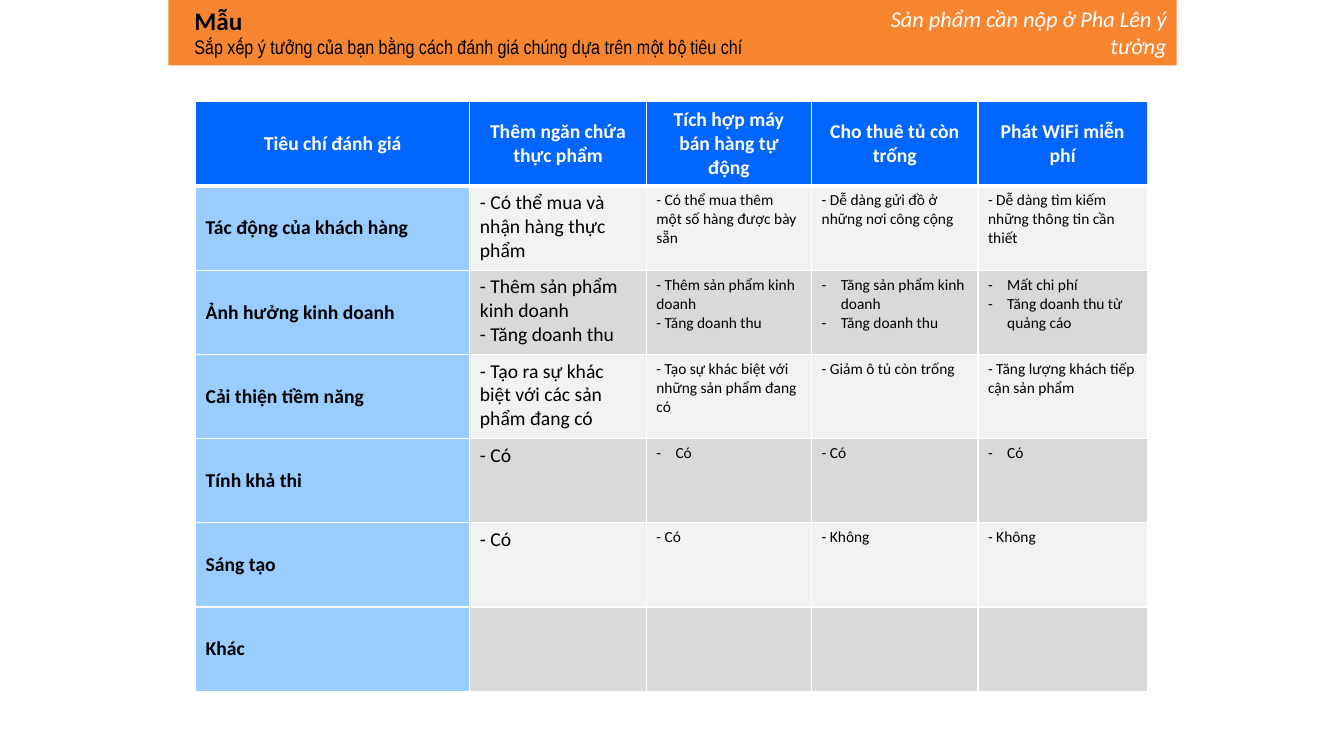
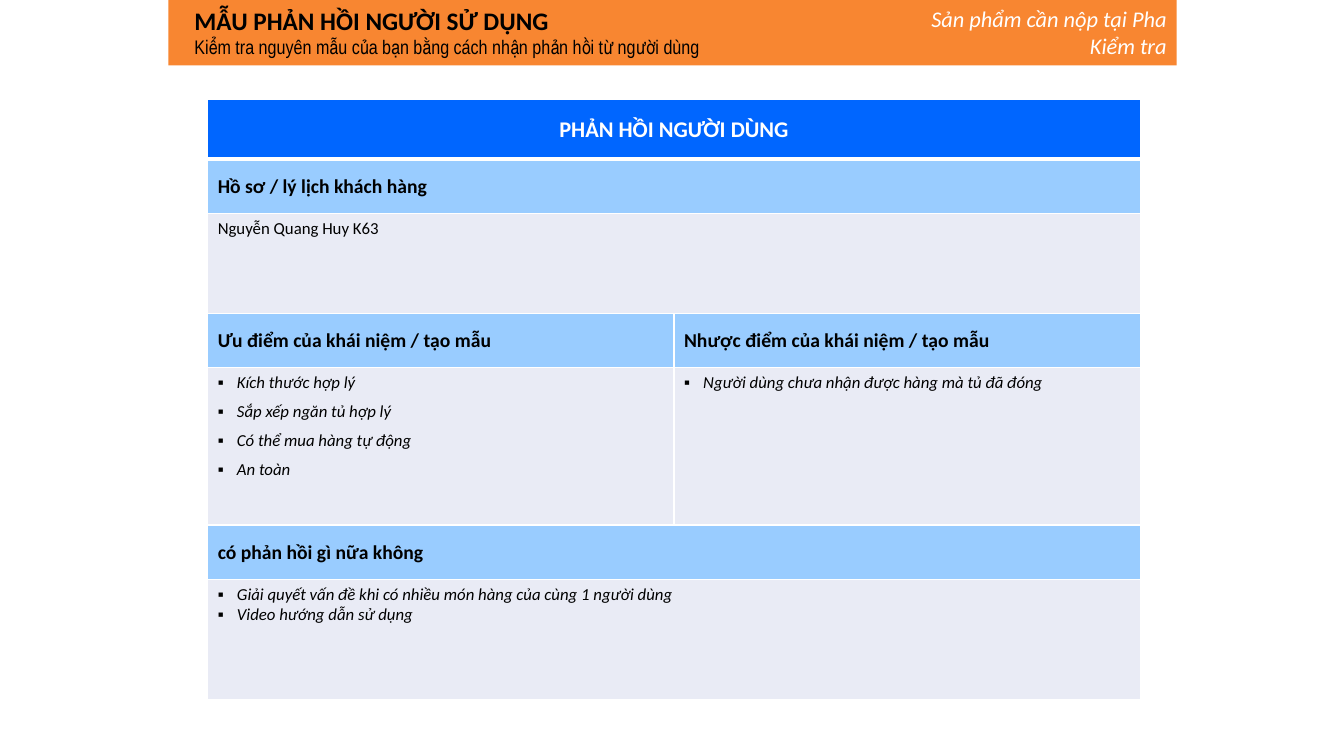
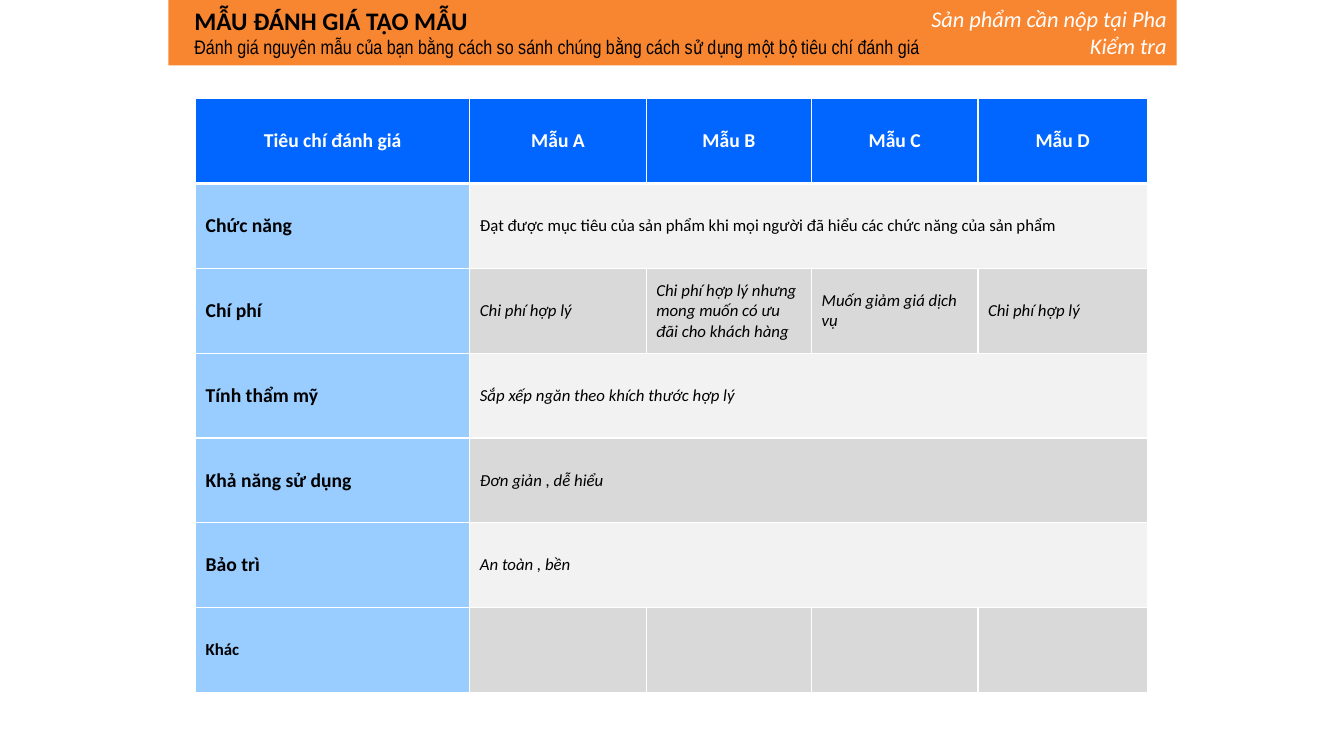
from dataclasses import dataclass

from lxml.etree import SubElement
from pptx import Presentation
from pptx.dml.color import RGBColor
from pptx.enum.shapes import MSO_SHAPE
from pptx.enum.text import MSO_ANCHOR, MSO_AUTO_SIZE, PP_ALIGN
from pptx.oxml.ns import qn
from pptx.util import Inches, Pt


@dataclass(frozen=True)
class Theme:
    band: str = "F88631"
    header: str = "0066FF"
    label: str = "99CCFF"
    light: str = "F2F2F2"
    dark: str = "D9D9D9"
    panel: str = "E9EBF5"
    white: str = "FFFFFF"
    black: str = "000000"
    font: str = "Calibri"
    narrow_font: str = "Arial Narrow"
    title_size: int = 18
    heading_size: int = 16
    label_size: int = 14
    body_size: int = 12
    small_size: int = 11
    thin_border: int = 1
    thick_border: int = 3


THEME = Theme()
CRITERIA_COLUMNS = [2.72, 1.75, 1.64, 1.65, 1.68]
BULLET_INDENT = 0.19


def write_text(frame, text, size, color=THEME.black, font=THEME.font, bold=False,
               italic=False, align=PP_ALIGN.LEFT, bullet=None, space_after=0, append=False):
    for index, line in enumerate(text.split("\n")):
        is_new = append or index > 0
        paragraph = frame.add_paragraph() if is_new else frame.paragraphs[0]
        paragraph.alignment = align
        paragraph.space_after = Pt(space_after)
        if bullet:
            properties = paragraph._p.get_or_add_pPr()
            properties.set("marL", str(Inches(BULLET_INDENT)))
            properties.set("indent", str(-Inches(BULLET_INDENT)))
            SubElement(properties, qn("a:buFont"), typeface=THEME.font)
            SubElement(properties, qn("a:buChar"), char=bullet)
        run = paragraph.add_run()
        run.text = line
        run.font.name = font
        run.font.size = Pt(size)
        run.font.bold = bold
        run.font.italic = italic
        run.font.color.rgb = RGBColor.from_string(color)


def add_text_box(slide, left, width):
    shape = slide.shapes.add_textbox(Inches(left), 0, Inches(width), Inches(0.64))
    shape.text_frame.word_wrap = True
    shape.text_frame.auto_size = MSO_AUTO_SIZE.SHAPE_TO_FIT_TEXT
    return shape.text_frame


def add_header(slide, title, subtitle, deliverable, title_width=6.12, deliverable_width=2.77):
    band = slide.shapes.add_shape(MSO_SHAPE.RECTANGLE, Inches(1.67), 0, Inches(10), Inches(0.65))
    band.shadow.inherit = False
    band.fill.solid()
    band.fill.fore_color.rgb = RGBColor.from_string(THEME.band)
    band.line.fill.background()
    title_frame = add_text_box(slide, 1.83, title_width)
    write_text(title_frame, title, THEME.title_size, bold=True)
    write_text(title_frame, subtitle, THEME.label_size, font=THEME.narrow_font, append=True)
    deliverable_frame = add_text_box(slide, 11.67 - deliverable_width, deliverable_width)
    write_text(deliverable_frame, deliverable, THEME.heading_size, color=THEME.white,
               italic=True, align=PP_ALIGN.RIGHT)


def set_borders(cell, row):
    widths = {"a:lnL": THEME.thin_border, "a:lnR": THEME.thin_border,
              "a:lnT": THEME.thick_border if row == 1 else THEME.thin_border,
              "a:lnB": THEME.thick_border if row == 0 else THEME.thin_border}
    properties = cell._tc.get_or_add_tcPr()
    for tag, width in widths.items():
        line = SubElement(properties, qn(tag), w=str(Pt(width)))
        fill = SubElement(line, qn("a:solidFill"))
        SubElement(fill, qn("a:srgbClr"), val=THEME.white)


def add_grid(slide, left, top, columns, rows):
    frame = slide.shapes.add_table(len(rows), len(columns), Inches(left), Inches(top),
                                   Inches(sum(columns)), Inches(sum(rows)))
    table = frame.table
    table.first_row = False
    table.horz_banding = False
    for column, width in zip(table.columns, columns):
        column.width = Inches(width)
    for index, (row, height) in enumerate(zip(table.rows, rows)):
        row.height = Inches(height)
        for cell in row.cells:
            set_borders(cell, index)
    return table


def fill_cell(cell, text, fill, anchor=MSO_ANCHOR.MIDDLE, **text_format):
    cell.fill.solid()
    cell.fill.fore_color.rgb = RGBColor.from_string(fill)
    cell.vertical_anchor = anchor
    if text:
        write_text(cell.text_frame, text, **text_format)


def fill_header_cell(cell, text, size=THEME.label_size):
    fill_cell(cell, text, THEME.header, size=size, color=THEME.white, bold=True,
              align=PP_ALIGN.CENTER)


def fill_label_cell(cell, text, size=THEME.label_size):
    fill_cell(cell, text, THEME.label, size=size, bold=True)


def add_criteria_table(slide, top, height, headings, labels):
    row_count = len(labels) + 1
    table = add_grid(slide, 1.94, top, CRITERIA_COLUMNS, [height / row_count] * row_count)
    for column, heading in enumerate(["Tiêu chí đánh giá", *headings]):
        fill_header_cell(table.cell(0, column), heading)
    for row, label in enumerate(labels, start=1):
        size = THEME.body_size if label == "Khác" and top < 1 else THEME.label_size
        fill_label_cell(table.cell(row, 0), label, size)
    return table


def stripe(row):
    return THEME.light if row % 2 else THEME.dark


def build_idea_slide(slide):
    add_header(slide, "Mẫu",
               "Sắp xếp ý tưởng của bạn bằng cách đánh giá chúng dựa trên một bộ tiêu chí",
               "Sản phẩm cần nộp ở Pha Lên ý tưởng", deliverable_width=3.13)
    table = add_criteria_table(
        slide, 1.01, 5.85,
        ["Thêm ngăn chứa thực phẩm", "Tích hợp máy bán hàng tự động",
         "Cho thuê tủ còn trống", "Phát WiFi miễn phí"],
        ["Tác động của khách hàng", "Ảnh hưởng kinh doanh", "Cải thiện tiềm năng",
         "Tính khả thi", "Sáng tạo", "Khác"])
    ratings = [
        ["- Có thể mua và nhận hàng thực phẩm", "- Có thể mua thêm một số hàng được bày sẵn",
         "- Dễ dàng gửi đồ ở những nơi công cộng",
         "- Dễ dàng tìm kiếm những thông tin cần thiết"],
        ["- Thêm sản phẩm kinh doanh\n- Tăng doanh thu",
         "- Thêm sản phẩm kinh doanh\n- Tăng doanh thu",
         "Tăng sản phẩm kinh doanh\nTăng doanh thu",
         "Mất chi phí\nTăng doanh thu từ quảng cáo"],
        ["- Tạo ra sự khác biệt với các sản phẩm đang có",
         "- Tạo sự khác biệt với những sản phẩm đang có",
         "- Giảm ô tủ còn trống", "- Tăng lượng khách tiếp cận sản phẩm"],
        ["- Có", "Có", "- Có", "Có"],
        ["- Có", "- Có", "- Không", "- Không"],
        [""] * 4,
    ]
    for row, texts in enumerate(ratings, start=1):
        for column, text in enumerate(texts, start=1):
            fill_cell(table.cell(row, column), text, stripe(row), MSO_ANCHOR.TOP,
                      size=THEME.label_size if column == 1 else THEME.small_size,
                      bullet=None if text.startswith("-") else "-")


def build_feedback_slide(slide):
    add_header(slide, "MẪU PHẢN HỒI NGƯỜI SỬ DỤNG",
               "Kiểm tra nguyên mẫu của bạn bằng cách nhận phản hồi từ người dùng",
               "Sản phẩm cần nộp tại Pha Kiểm tra")
    table = add_grid(slide, 2.06, 0.99, [9.25 / 2] * 2,
                     [0.59, 0.54, 0.99, 0.54, 1.56, 0.54, 1.19])
    for row in (0, 1, 2, 5, 6):
        table.cell(row, 0).merge(table.cell(row, 1))
    fill_header_cell(table.cell(0, 0), "PHẢN HỒI NGƯỜI DÙNG", THEME.heading_size)
    labels = [(1, 0, "Hồ sơ / lý lịch khách hàng"),
              (3, 0, "Ưu điểm của khái niệm / tạo mẫu"),
              (3, 1, "Nhược điểm của khái niệm / tạo mẫu"),
              (5, 0, "có phản hồi gì nữa không")]
    for row, column, text in labels:
        fill_label_cell(table.cell(row, column), text)
    fill_cell(table.cell(2, 0), "Nguyễn Quang Huy K63", THEME.panel, MSO_ANCHOR.TOP,
              size=THEME.body_size)
    answers = [
        (4, 0, 6, "Kích thước hợp lý\nSắp xếp ngăn tủ hợp lý\nCó thể mua hàng tự động\nAn toàn"),
        (4, 1, 6, "Người dùng chưa nhận được hàng mà tủ đã đóng"),
        (6, 0, 0, "Giải quyết vấn đề khi có nhiều món hàng của cùng 1 người dùng\n"
                  "Video hướng dẫn sử dụng"),
    ]
    for row, column, space_after, text in answers:
        fill_cell(table.cell(row, column), text, THEME.panel, MSO_ANCHOR.TOP,
                  size=THEME.body_size, italic=True, bullet="▪", space_after=space_after)


def build_prototype_slide(slide):
    add_header(slide, "MẪU ĐÁNH GIÁ TẠO MẪU",
               "Đánh giá nguyên mẫu của bạn bằng cách so sánh chúng bằng cách sử dụng "
               "một bộ tiêu chí đánh giá",
               "Sản phẩm cần nộp tại Pha Kiểm tra", title_width=9.44)
    table = add_criteria_table(
        slide, 0.98, 5.89, [f"Mẫu {letter}" for letter in "ABCD"],
        ["Chức năng", "Chí phí", "Tính thẩm mỹ", "Khả năng sử dụng", "Bảo trì", "Khác"])
    ratings = [
        ["Đạt được mục tiêu của sản phẩm khi mọi người đã hiểu các chức năng của sản phẩm"],
        ["Chi phí hợp lý", "Chi phí hợp lý nhưng mong muốn có ưu đãi cho khách hàng",
         "Muốn giảm giá dịch vụ", "Chi phí hợp lý"],
        ["Sắp xếp ngăn theo khích thước hợp lý"],
        ["Đơn giản , dễ hiểu"],
        ["An toàn , bền"],
        [""] * 4,
    ]
    for row, texts in enumerate(ratings, start=1):
        if len(texts) == 1:
            table.cell(row, 1).merge(table.cell(row, 4))
        for column, text in enumerate(texts, start=1):
            fill_cell(table.cell(row, column), text, stripe(row),
                      size=THEME.body_size, italic=row > 1)


def main():
    presentation = Presentation()
    presentation.slide_width = Inches(13.33)
    presentation.slide_height = Inches(7.5)
    blank_layout = presentation.slide_layouts[6]
    for build_slide in (build_idea_slide, build_feedback_slide, build_prototype_slide):
        build_slide(presentation.slides.add_slide(blank_layout))
    presentation.save("out.pptx")


if __name__ == "__main__":
    main()
